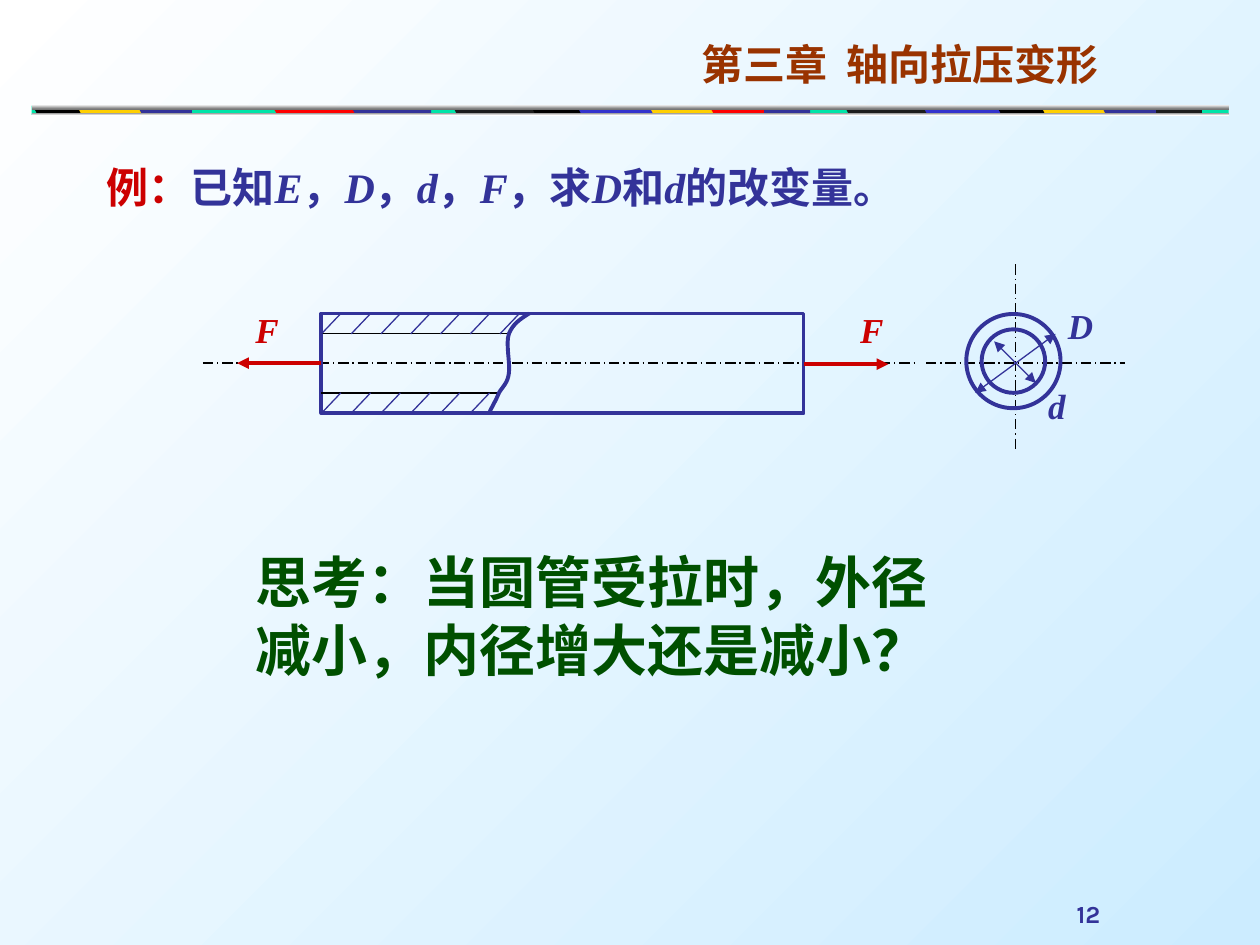
from dataclasses import dataclass
from itertools import product

from lxml.etree import SubElement
from pptx import Presentation
from pptx.dml.color import RGBColor
from pptx.enum.dml import MSO_LINE
from pptx.enum.shapes import MSO_CONNECTOR, MSO_SHAPE
from pptx.enum.text import MSO_ANCHOR, PP_ALIGN
from pptx.oxml.ns import qn
from pptx.util import Cm, Pt


@dataclass(frozen=True)
class Theme:
    latin: str = "Times New Roman"
    sans: str = "Karla"
    chinese: str = "Noto Sans CJK SC"
    blue: str = "333399"
    red: str = "CC0000"
    brown: str = "993300"
    green: str = "005000"
    black: str = "000000"
    white: str = "FFFFFF"
    grey: str = "767676"
    sky: str = "CCECFF"
    mint: str = "00E4A8"
    heading: int = 24
    question: int = 32
    label: int = 20
    number: int = 14
    thin: float = 0.75
    thick: float = 2.25


THEME = Theme()

TITLE = "第三章  轴向拉压变形"
EXAMPLE = ["例：", "已知", "E", "，", "D", "，", "d", "，", "F", "，求", "D", "和", "d", "的改变量。"]
QUESTION = "思考：当圆管受拉时，外径减小，内径增大还是减小？"
NUMBER = "12"
LABELS = [
    ("F", 17.09, 6.1, THEME.red),
    ("F", 4.9, 6.1, THEME.red),
    ("d", 20.88, 7.62, THEME.blue),
    ("D", 21.28, 6.02, THEME.blue),
]

BAR_LEFT, BAR_TOP, BAR_WIDTH, BAR_HEIGHT = 0.64, 2.13, 24.13, 0.19
DARK_SPANS = [(17.02, 18.8), (18.6, 20.22), (23.16, 24.23)]
BRIGHT_SPANS = [(20.09, 21.29), (20.98, 22.35), (22.2, 23.3)]
BAR_PARTS = [
    (DARK_SPANS, 0, ["1C1C1C", "3333CC", "1C1C1C"]),
    (BRIGHT_SPANS, 0, ["000000", "FFCF01", "333399"]),
    (DARK_SPANS, 7.9, ["1C1C1C", "000000", "333399"]),
    (BRIGHT_SPANS, 7.9, ["3333CC", "FFCF01", "FF0000"]),
    (DARK_SPANS, 11.53, ["FF0000", "333399", "3333CC"]),
    (BRIGHT_SPANS, 19.43, ["000000", "FFCF01", "333399"]),
]
BAR_EDGES = [(2.11, 0.09, THEME.white, THEME.grey), (2.27, 0.06, THEME.grey, THEME.white)]

AXIS = 7.32
TUBE_LEFT, TUBE_RIGHT, TUBE_TOP, TUBE_BOTTOM = 6.48, 16.2, 6.32, 8.33
BORE_TOP, BORE_BOTTOM = 6.73, 7.92
HATCH_PITCH, HATCH_RUN = 0.6, 0.39
HATCHES = [(TUBE_TOP, BORE_TOP, 7), (BORE_BOTTOM, TUBE_BOTTOM, 6)]
RING_X, RING_Y, RING_RADII = 20.43, 7.28, [0.64, 0.95]
CENTRE_LINES = [(4.09, AXIS, 18.49, AXIS), (18.67, AXIS, 22.68, AXIS), (20.47, 5.33, 20.47, 9.12)]
BORE_LINES = [(TUBE_LEFT, BORE_BOTTOM, 10.08, BORE_BOTTOM), (TUBE_LEFT, BORE_TOP, 10.26, BORE_TOP)]
FORCES = [(TUBE_RIGHT, 7.34, 17.91, 7.34), (TUBE_LEFT, AXIS, 4.78, AXIS)]
DIAMETERS = [(20.04, 6.88, 20.88, 7.72), (19.66, 7.92, 21.28, 6.73)]
BREAK_CURVE = [
    (10.67, 6.32), (10.49, 6.43), (10.34, 6.53), (10.26, 6.73),
    (10.19, 6.93), (10.29, 7.32), (10.26, 7.52),
    (10.24, 7.72), (10.13, 7.8), (10.06, 7.92),
    (10.01, 8.05), (9.93, 8.18), (9.86, 8.33),
]
CURVE_STEPS = 8


def rgb(color):
    return RGBColor.from_string(color)


def paint_gradient(fill, first, last, angle):
    fill.gradient()
    fill.gradient_angle = angle
    for stop, color in zip(fill.gradient_stops, (first, last)):
        stop.color.rgb = rgb(color)


def style_span(span, size, color, latin, italic=False):
    font = span.font
    font.size, font.bold, font.italic, font.name = Pt(size), True, italic, latin
    font.color.rgb = rgb(color)
    SubElement(span._r.get_or_add_rPr(), qn("a:ea"), typeface=THEME.chinese)


def place_text(box, text, size, color, latin, anchor=MSO_ANCHOR.TOP, align=PP_ALIGN.LEFT, italic=False):
    frame = box.text_frame
    frame.text = text
    frame.word_wrap = True
    frame.vertical_anchor = anchor
    paragraph = frame.paragraphs[0]
    paragraph.alignment = align
    for span in paragraph.runs:
        style_span(span, size, color, latin, italic)


def add_box(shapes, left, top, width, height):
    return shapes.add_textbox(Cm(left), Cm(top), Cm(width), Cm(height))


def add_line(shapes, ends, color, width, dash=None, arrows=()):
    connector = shapes.add_connector(MSO_CONNECTOR.STRAIGHT, *map(Cm, ends))
    connector.line.color.rgb = rgb(color)
    connector.line.width = Pt(width)
    if dash:
        connector.line.dash_style = dash
    for arrow in arrows:
        SubElement(connector.line._get_or_add_ln(), qn(f"a:{arrow}"), type="triangle")
    SubElement(connector._element.spPr, qn("a:effectLst"))


def add_path(shapes, points, close):
    corners = [(Cm(x), Cm(y)) for x, y in points]
    builder = shapes.build_freeform(*corners[0])
    builder.add_line_segments(corners[1:], close=close)
    shape = builder.convert_to_shape()
    shape.shadow.inherit = False
    return shape


def outline(shape):
    shape.shadow.inherit = False
    shape.fill.background()
    shape.line.color.rgb = rgb(THEME.blue)
    shape.line.width = Pt(THEME.thick)


def add_preset(shapes, kind, left, top, width, height):
    shape = shapes.add_shape(kind, Cm(left), Cm(top), Cm(width), Cm(height))
    shape.shadow.inherit = False
    shape.line.fill.background()
    return shape


def curve_points(controls):
    points = [controls[0]]
    for start, step in product(range(0, len(controls) - 1, 3), range(1, CURVE_STEPS + 1)):
        t = step / CURVE_STEPS
        weights = ((1 - t) ** 3, 3 * t * (1 - t) ** 2, 3 * t * t * (1 - t), t ** 3)
        part = controls[start:start + 4]
        points.append(tuple(sum(w * p[i] for w, p in zip(weights, part)) for i in (0, 1)))
    return points


def draw_bar(shapes):
    base = add_preset(shapes, MSO_SHAPE.RECTANGLE, BAR_LEFT, BAR_TOP, BAR_WIDTH, BAR_HEIGHT)
    base.fill.solid()
    base.fill.fore_color.rgb = rgb(THEME.mint)
    bottom = BAR_TOP + BAR_HEIGHT
    for spans, shift, colors in BAR_PARTS:
        for (left, right), color in zip(spans, colors):
            left, right = max(left - shift, BAR_LEFT), right - shift
            corners = [(left, BAR_TOP), (right, BAR_TOP), (right, bottom), (left + 0.1, bottom)]
            segment = add_path(shapes, corners, True)
            segment.fill.solid()
            segment.fill.fore_color.rgb = rgb(color)
            segment.line.fill.background()
    for top, height, first, last in BAR_EDGES:
        edge = add_preset(shapes, MSO_SHAPE.RECTANGLE, BAR_LEFT, top, BAR_WIDTH, height)
        paint_gradient(edge.fill, first, last, 270)


def draw_tube(shapes):
    for ends in CENTRE_LINES:
        add_line(shapes, ends, THEME.black, THEME.thin, MSO_LINE.LONG_DASH_DOT)
    outline(add_preset(shapes, MSO_SHAPE.RECTANGLE, TUBE_LEFT, TUBE_TOP,
                       TUBE_RIGHT - TUBE_LEFT, TUBE_BOTTOM - TUBE_TOP))
    for radius in RING_RADII:
        outline(add_preset(shapes, MSO_SHAPE.OVAL, RING_X - radius, RING_Y - radius, 2 * radius, 2 * radius))
    for ends in FORCES:
        add_line(shapes, ends, THEME.red, THEME.thick, arrows=["tailEnd"])
    for ends in BORE_LINES:
        add_line(shapes, ends, THEME.black, THEME.thin)
    outline(add_path(shapes, curve_points(BREAK_CURVE), False))
    for top, bottom, count in HATCHES:
        for index in range(count):
            left = TUBE_LEFT + index * HATCH_PITCH
            add_line(shapes, (left + HATCH_RUN, top, left, bottom), THEME.blue, THEME.thin)
    for ends in DIAMETERS:
        add_line(shapes, ends, THEME.blue, THEME.thin, arrows=["headEnd", "tailEnd"])
    for text, left, top, color in LABELS:
        place_text(add_box(shapes, left, top, 1.19, 1.12), text, THEME.label, color, THEME.latin, italic=True)


def main():
    deck = Presentation()
    deck.slide_width, deck.slide_height = Cm(25.4), Cm(19.05)
    page = deck.slides.add_slide(deck.slide_layouts[5])
    paint_gradient(page.background.fill, THEME.sky, THEME.white, 135)
    draw_bar(page.shapes)

    title = page.shapes.title
    title.left, title.top, title.width, title.height = Cm(13.89), Cm(0.64), Cm(9.6), Cm(1.27)
    place_text(title, TITLE, THEME.heading, THEME.brown, THEME.chinese)

    example = add_box(page.shapes, 1.9, 2.62, 17.42, 2.29)
    example.text_frame.word_wrap = True
    example.text_frame.vertical_anchor = MSO_ANCHOR.MIDDLE
    for index, text in enumerate(EXAMPLE):
        span = example.text_frame.paragraphs[0].add_run()
        span.text = text
        style_span(span, THEME.heading, THEME.blue if index else THEME.red, THEME.latin, text.isascii())

    draw_tube(page.shapes.add_group_shape().shapes)
    place_text(add_box(page.shapes, 4.9, 10.92, 14.4, 2.97), QUESTION, THEME.question, THEME.green, THEME.sans)
    place_text(add_box(page.shapes, 17.15, 17.58, 5.28, 1.27), NUMBER, THEME.number, THEME.blue, THEME.sans,
               MSO_ANCHOR.BOTTOM, PP_ALIGN.RIGHT)
    deck.save("out.pptx")


if __name__ == "__main__":
    main()
